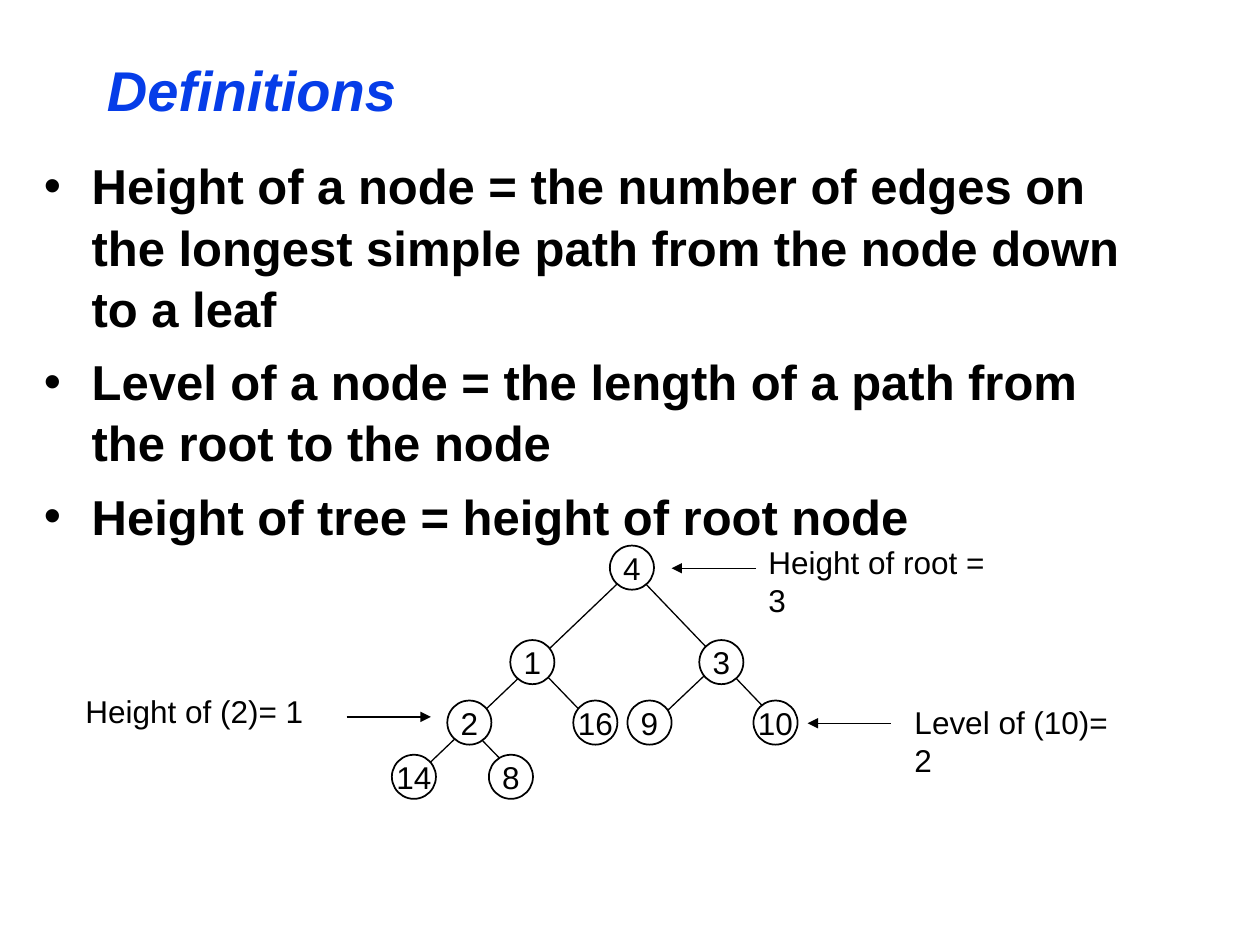
from dataclasses import dataclass

from lxml.etree import SubElement
from pptx import Presentation
from pptx.dml.color import RGBColor
from pptx.enum.shapes import MSO_CONNECTOR, MSO_SHAPE
from pptx.enum.text import MSO_ANCHOR, MSO_AUTO_SIZE, PP_ALIGN
from pptx.oxml.ns import qn
from pptx.util import Inches, Pt


@dataclass(frozen=True)
class Theme:
    font: str = "Arial"
    title_color: RGBColor = RGBColor(0x06, 0x3D, 0xE8)
    ink: RGBColor = RGBColor(0, 0, 0)
    paper: RGBColor = RGBColor(255, 255, 255)
    title_size: Pt = Pt(32)
    body_size: Pt = Pt(28)
    label_size: Pt = Pt(18)


theme = Theme()


def format_text(paragraph, size, color=theme.ink, bold=False, italic=False):
    for run in paragraph.runs:
        run.font.name = theme.font
        run.font.size = size
        run.font.color.rgb = color
        run.font.bold = bold
        run.font.italic = italic


def add_line(slide, start, end, arrow=False):
    points = [Inches(value) for value in (*start, *end)]
    connector = slide.shapes.add_connector(MSO_CONNECTOR.STRAIGHT, *points)
    connector.line.color.rgb = theme.ink
    connector.line.width = Pt(0.75)
    properties = connector._element.spPr
    if arrow:
        SubElement(properties.find(qn("a:ln")), qn("a:tailEnd"), type="triangle")
    SubElement(properties, qn("a:effectLst"))


presentation = Presentation()
presentation.slide_width = Inches(10)
presentation.slide_height = Inches(7.5)
slide = presentation.slides.add_slide(presentation.slide_layouts[6])
slide.background.fill.solid()
slide.background.fill.fore_color.rgb = theme.paper

# Title
title = slide.shapes.add_textbox(Inches(0.75), Inches(0.33), Inches(8.5), Inches(0.75))
title.text_frame.word_wrap = True
title.text_frame.vertical_anchor = MSO_ANCHOR.MIDDLE
title.text_frame.text = "Definitions"
format_text(title.text_frame.paragraphs[0], theme.title_size, theme.title_color, True, True)

# Bulleted definitions
definitions = [
    "Height of a node = the number of edges on the longest simple path from the node down to a leaf",
    "Level of a node = the length of a path from the root to the node",
    "Height of tree = height of root node",
]
body = slide.shapes.add_textbox(Inches(0.25), Inches(1.17), Inches(9), Inches(4.25))
body.text_frame.word_wrap = True
body.text_frame.text = "\n".join(definitions)
for index, paragraph in enumerate(body.text_frame.paragraphs):
    properties = paragraph._p.get_or_add_pPr()
    properties.set("marL", str(Inches(0.38)))
    properties.set("indent", str(Inches(-0.38)))
    SubElement(properties, qn("a:buFont"), typeface=theme.font)
    SubElement(properties, qn("a:buChar"), char="•")
    paragraph.line_spacing = 1.04
    if index > 0:
        paragraph.space_before = Pt(7)
    format_text(paragraph, theme.body_size, bold=True)

# Tree edges, partly hidden by the nodes
edges = [
    ((5.16, 5.77), (5.72, 5.24)),
    ((4.15, 6.21), (3.61, 5.65)),
    ((4.74, 5.78), (4.2, 5.22)),
    ((6.25, 5.81), (4.91, 4.41)),
    ((3.3, 6.16), (5.05, 4.49)),
]
for start, end in edges:
    add_line(slide, start, end)

# Tree nodes: top of each level, then left and value of its nodes
levels = [
    (4.33, [(4.84, "4")]),
    (5.08, [(4.05, "1"), (5.55, "3")]),
    (5.56, [(3.55, "2"), (4.55, "16"), (4.98, "9"), (5.98, "10")]),
    (5.99, [(3.11, "14"), (3.88, "8")]),
]
diameter = Inches(0.35)
for top, nodes in levels:
    for left, value in nodes:
        node = slide.shapes.add_shape(
            MSO_SHAPE.OVAL, Inches(left), Inches(top), diameter, diameter)
        node.shadow.inherit = False
        node.fill.solid()
        node.fill.fore_color.rgb = theme.paper
        node.line.color.rgb = theme.ink
        node.line.width = Pt(1)
        node.text_frame.word_wrap = False
        node.text_frame.vertical_anchor = MSO_ANCHOR.MIDDLE
        node.text_frame.text = value
        paragraph = node.text_frame.paragraphs[0]
        paragraph.alignment = PP_ALIGN.CENTER
        format_text(paragraph, theme.label_size)

# Labels with arrows to their nodes
annotations = [
    ("Height of root = 3", 6, 4.26, 2.12, (6, 4.51), (5.33, 4.51)),
    ("Height of (2)= 1", 0.58, 5.44, 1.93, (2.75, 5.69), (3.42, 5.69)),
    ("Level of (10)= 2", 7.16, 5.53, 1.94, (7.07, 5.74), (6.41, 5.74)),
]
for text, left, top, width, start, end in annotations:
    label = slide.shapes.add_textbox(Inches(left), Inches(top), Inches(width), Inches(0.4))
    label.text_frame.word_wrap = False
    label.text_frame.auto_size = MSO_AUTO_SIZE.SHAPE_TO_FIT_TEXT
    label.text_frame.text = text
    format_text(label.text_frame.paragraphs[0], theme.label_size)
    add_line(slide, start, end, arrow=True)

presentation.save("out.pptx")
